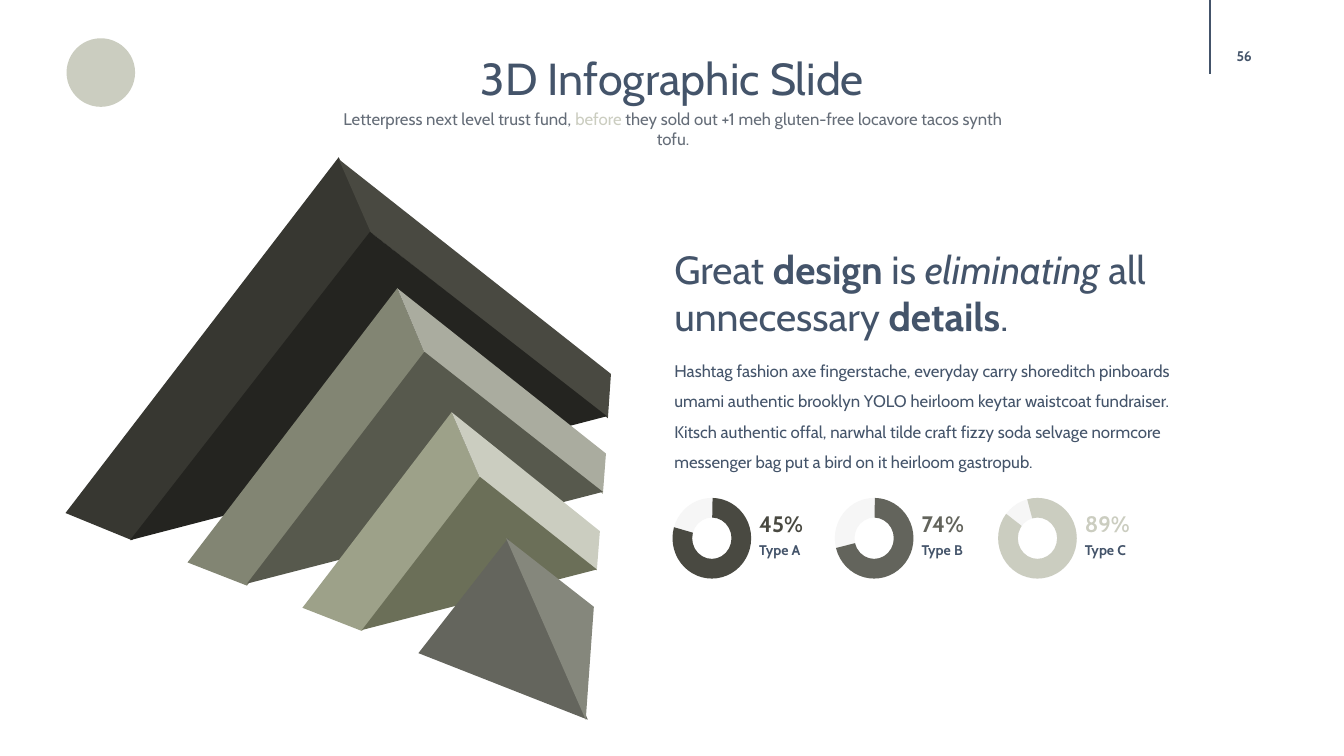
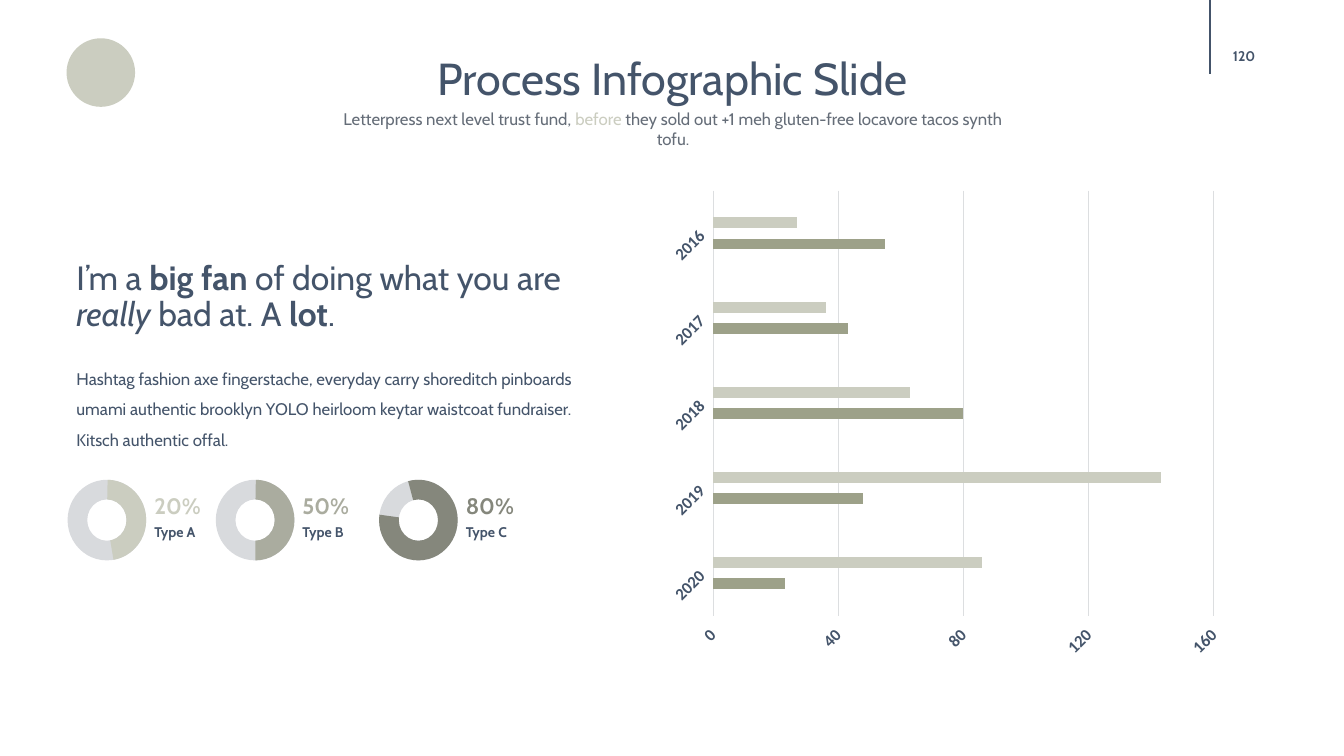
from lxml import etree
from pptx import Presentation, util as u
from pptx.chart.data import CategoryChartData
from pptx.dml.color import RGBColor
from pptx.enum import chart as ch, shapes, text
from pptx.oxml.ns import qn

FONT = "Cabin"
CHART_FONT = "Calibri"
COLORS = {
    "navy": "44546A", "gray": "656D78", "leaf": "CBCDC0", "grid": "DCDEE0",
    "olive": "9DA189", "sage": "AAAC9F", "stone": "85877C", "iron": "63645C",
    "dark": "494941", "ring": "F6F6F6", "cool_ring": "D8DADD",
    "coal": "373731", "ink": "242420", "moss": "828573", "fern": "57594D",
    "deep_olive": "6B6F58", "slate": "64655D",
}

# Runs are (text, style), where the style is b, i or a colour name
SUBTITLE = [("Letterpress next level trust fund, ", ""), ("before", "leaf"),
            (" they sold out +1 meh gluten-free locavore tacos synth tofu.", "")]
DESIGN_QUOTE = [("Great ", ""), ("design", "b"), (" is ", ""), ("eliminating", "i"),
                (" all unnecessary ", ""), ("details", "b"), (".", "")]
FAN_QUOTE = [("I’m a ", ""), ("big fan ", "b"), ("of doing what you are ", ""),
             ("really", "i"), (" bad at. A ", ""), ("lot", "b"), (".", "")]
BODY = ("Hashtag fashion axe fingerstache, everyday carry shoreditch pinboards umami "
        "authentic brooklyn YOLO heirloom keytar waistcoat fundraiser. "
        "Kitsch authentic offal")
BODY_MORE = (", narwhal tilde craft fizzy soda selvage normcore messenger bag "
             "put a bird on it heirloom gastropub.")

# Left edge, share, label, colour, start and end angle in degrees
DESIGN_DONUTS = [
    (6.67, "45%", "Type A", "dark", 271.06, 196.24),
    (8.28, "74%", "Type B", "iron", 271.06, 165.61),
    (9.9, "89%", "Type C", "leaf", 255.23, 217.98),
]
FAN_DONUTS = [
    (0.67, "20%", "Type A", "leaf", 271.06, 80.55),
    (2.14, "50%", "Type B", "sage", 271.06, 89.44),
    (3.76, "80%", "Type C", "stone", 255.23, 187.88),
]

PYRAMID_FACES = [
    ("coal", [(0.65, 5.09), (3.36, 1.56), (3.69, 2.3), (1.31, 5.36)]),
    ("dark", [(3.68, 2.31), (3.36, 1.58), (6.06, 3.71), (6.03, 4.15)]),
    ("ink", [(1.29, 5.36), (3.67, 2.3), (6.02, 4.13)]),
    ("moss", [(1.86, 5.58), (3.94, 2.86), (4.21, 3.5), (2.45, 5.81)]),
    ("sage", [(3.94, 2.86), (4.21, 3.5), (5.98, 4.9), (6.01, 4.5)]),
    ("fern", [(2.45, 5.79), (4.21, 3.49), (5.98, 4.88)]),
    ("olive", [(3, 6.03), (4.48, 4.09), (4.76, 4.74), (3.59, 6.26)]),
    ("leaf", [(4.48, 4.09), (4.76, 4.74), (5.92, 5.66), (5.95, 5.27)]),
    ("deep_olive", [(3.59, 6.25), (4.76, 4.73), (5.92, 5.65)]),
    ("slate", [(5.04, 5.34), (4.15, 6.48), (5.83, 7.14)]),
    ("stone", [(5.02, 5.34), (5.81, 7.14), (5.89, 6.02)]),
]

YEARS = ["2016", "2017", "2018", "2019", "2020"]
SERIES = [("Series 1", "leaf", [27, 36, 63, 143, 86]),
          ("Series 2", "olive", [55, 43, 80, 48, 23])]
PLOT = {"x": 0.106, "y": 0.055, "w": 0.861, "h": 0.82}


def rgb(name):
    return RGBColor.from_string(COLORS[name])


def inches(*lengths):
    return [u.Inches(n) for n in lengths]


def paint(sp, color):
    sp.shadow.inherit = False
    sp.fill.solid()
    sp.fill.fore_color.rgb = rgb(color)
    sp.line.fill.background()


def add_text(s, box, runs, size, color="navy", bold=False, center=False,
             spacing=1.0, inset=True, middle=False):
    tf = s.shapes.add_textbox(*inches(*box)).text_frame
    tf.word_wrap = True
    if not inset:
        tf.margin_left = tf.margin_right = tf.margin_top = tf.margin_bottom = 0
    if middle:
        tf.vertical_anchor = text.MSO_ANCHOR.MIDDLE
    p = tf.paragraphs[0]
    p.line_spacing = spacing
    p.alignment = text.PP_ALIGN.CENTER if center else text.PP_ALIGN.LEFT
    for words, style in [(runs, "")] if isinstance(runs, str) else runs:
        r = p.add_run()
        r.text = words
        r.font.name = FONT
        r.font.size = u.Pt(size)
        r.font.bold = bold or style == "b"
        r.font.italic = style == "i"
        r.font.color.rgb = rgb(style if style in COLORS else color)


def add_base_slide(prs, title, number):
    s = prs.slides.add_slide(prs.slide_layouts[6])
    emblem = s.shapes.add_shape(shapes.MSO_SHAPE.OVAL, *inches(0.66, 0.38, 0.68, 0.68))
    paint(emblem, "leaf")
    rule = s.shapes.add_connector(shapes.MSO_CONNECTOR.STRAIGHT, *inches(12, 0, 12, 0.73))
    rule.line.color.rgb = rgb("navy")
    rule.line.width = u.Pt(1)
    etree.SubElement(rule.element.spPr, qn("a:effectLst"))
    add_text(s, (11.94, 0.36, 0.8, 0.4), number, 10, bold=True, center=True,
             inset=False, middle=True)
    add_text(s, (2.54, 0.45, 8.26, 0.64), title, 32, center=True)
    add_text(s, (3.2, 1.03, 6.95, 0.3), SUBTITLE, 12, "gray", center=True)
    return s


def add_donuts(s, donuts, top, ring):
    for left, share, label, color, start, end in donuts:
        box = inches(left, top, 0.78, 0.8)
        paint(s.shapes.add_shape(shapes.MSO_SHAPE.DONUT, *box), ring)
        arc = s.shapes.add_shape(shapes.MSO_SHAPE.BLOCK_ARC, *box)
        paint(arc, color)
        # Angles are stored in 60000ths of a degree, adjustments in 100000ths
        for i, value in enumerate((start * 0.6, end * 0.6, 0.25)):
            arc.adjustments[i] = value
        x = left + 0.86
        add_text(s, (x, top + 0.15, 0.49, 0.29), share, 16, color, bold=True,
                 spacing=0.9, inset=False)
        add_text(s, (x, top + 0.45, 0.49, 0.23), label, 10, bold=True,
                 spacing=0.9, inset=False)


def add_pyramid(s):
    for color, points in PYRAMID_FACES:
        first, *rest = [inches(*point) for point in points]
        outline = s.shapes.build_freeform(*first)
        outline.add_line_segments(rest, close=True)
        paint(outline.convert_to_shape(), color)


def thin_line(line):
    line.color.rgb = rgb("grid")
    line.width = u.Pt(0.5)


def set_plot_layout(chart):
    """Fix the inner plot area and slant the axis labels."""
    area = chart.element.find(".//" + qn("c:plotArea"))
    for old in area.findall(qn("c:layout")):
        area.remove(old)
    layout = etree.Element(qn("c:layout"))
    area.insert(0, layout)
    manual = etree.SubElement(layout, qn("c:manualLayout"))
    settings = {"layoutTarget": "inner", "xMode": "edge", "yMode": "edge", **PLOT}
    for tag, value in settings.items():
        etree.SubElement(manual, qn("c:" + tag)).set("val", str(value))
    for body in area.iter(qn("a:bodyPr")):
        body.set("rot", "-2700000")
        body.set("vert", "horz")


def add_year_chart(s):
    data = CategoryChartData()
    data.categories = YEARS
    for name, _, values in SERIES:
        data.add_series(name, values)
    chart = s.shapes.add_chart(ch.XL_CHART_TYPE.BAR_CLUSTERED,
                               *inches(6.46, 1.61, 5.77, 5.14), data).chart
    chart.has_legend = chart.has_title = False
    chart.font.name = CHART_FONT
    chart.font.size = u.Pt(10)
    chart.font.color.rgb = rgb("navy")

    plot = chart.plots[0]
    plot.gap_width, plot.overlap, plot.vary_by_categories = 500, -100, False
    for series, (_, color, _) in zip(plot.series, SERIES):
        series.format.fill.solid()
        series.format.fill.fore_color.rgb = rgb(color)

    years, amounts = chart.category_axis, chart.value_axis
    for axis in (years, amounts):
        axis.major_tick_mark = axis.minor_tick_mark = ch.XL_TICK_MARK.NONE
        font = axis.tick_labels.font
        font.name, font.size, font.bold = CHART_FONT, u.Pt(12), True
        font.color.rgb = rgb("navy")
    years.reverse_order = True
    thin_line(years.format.line)
    # The high end of the reversed year axis is the bottom of the plot
    amounts.tick_label_position = ch.XL_TICK_LABEL_POSITION.HIGH
    amounts.minimum_scale, amounts.maximum_scale, amounts.major_unit = 0, 160, 40
    amounts.tick_labels.number_format = "#,##0"
    amounts.tick_labels.number_format_is_linked = False
    amounts.format.line.fill.background()
    amounts.has_major_gridlines = True
    thin_line(amounts.major_gridlines.format.line)
    set_plot_layout(chart)


def main():
    prs = Presentation()
    prs.slide_width, prs.slide_height = inches(13.33, 7.5)

    s = add_base_slide(prs, "3D Infographic Slide", "56")
    add_pyramid(s)
    add_text(s, (6.59, 2.38, 5.46, 1.04), DESIGN_QUOTE, 28)
    add_text(s, (6.59, 3.43, 5.32, 1.31), BODY + BODY_MORE, 12, spacing=1.5)
    add_donuts(s, DESIGN_DONUTS, 4.94, "ring")

    s = add_base_slide(prs, "Process Infographic Slide", "120")
    add_year_chart(s)
    add_text(s, (0.66, 2.54, 5.46, 0.83), FAN_QUOTE, 24, spacing=0.9)
    add_text(s, (0.66, 3.51, 5.32, 1.01), BODY + ".", 12, spacing=1.5)
    add_donuts(s, FAN_DONUTS, 4.76, "cool_ring")

    prs.save("out.pptx")


if __name__ == "__main__":
    main()
